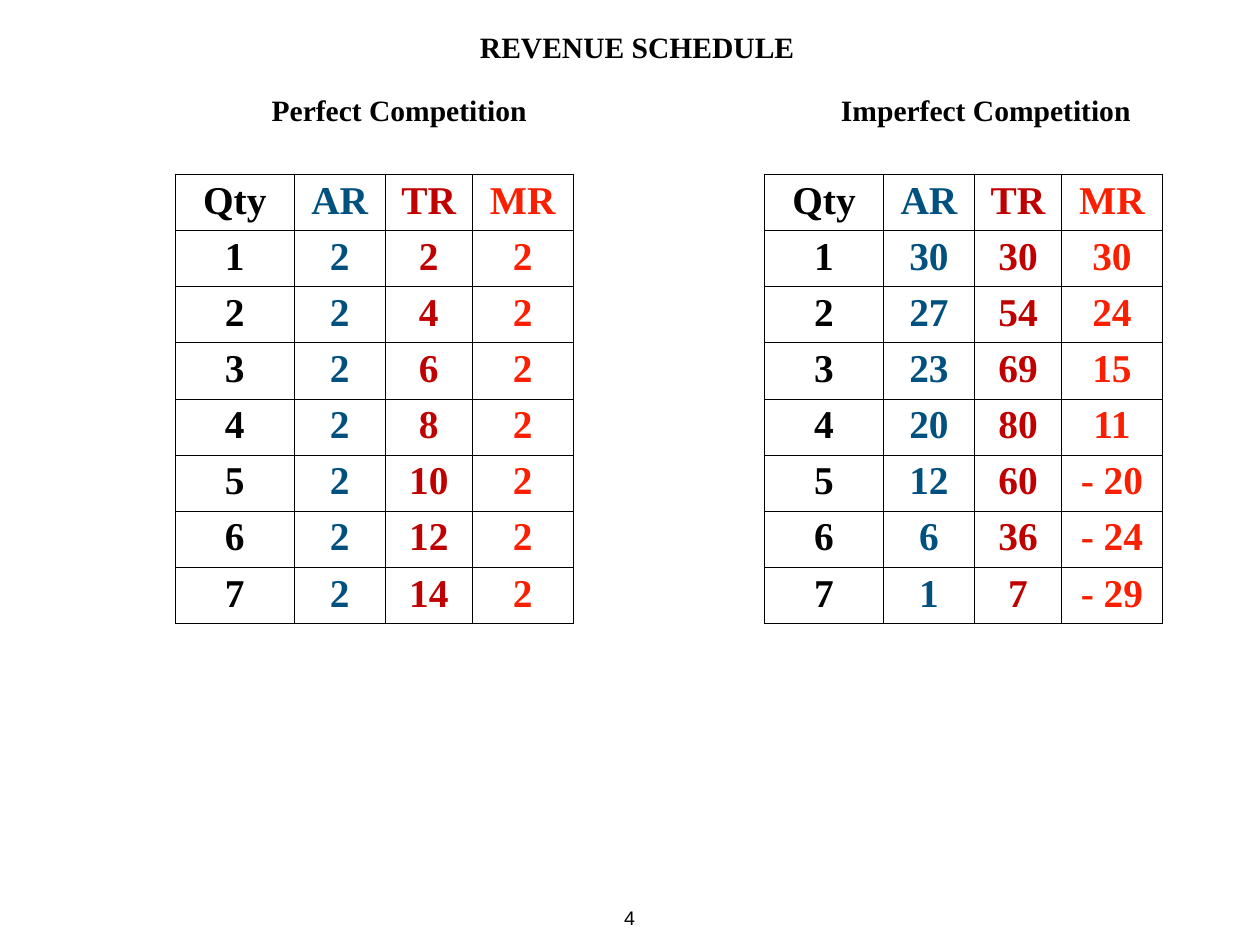
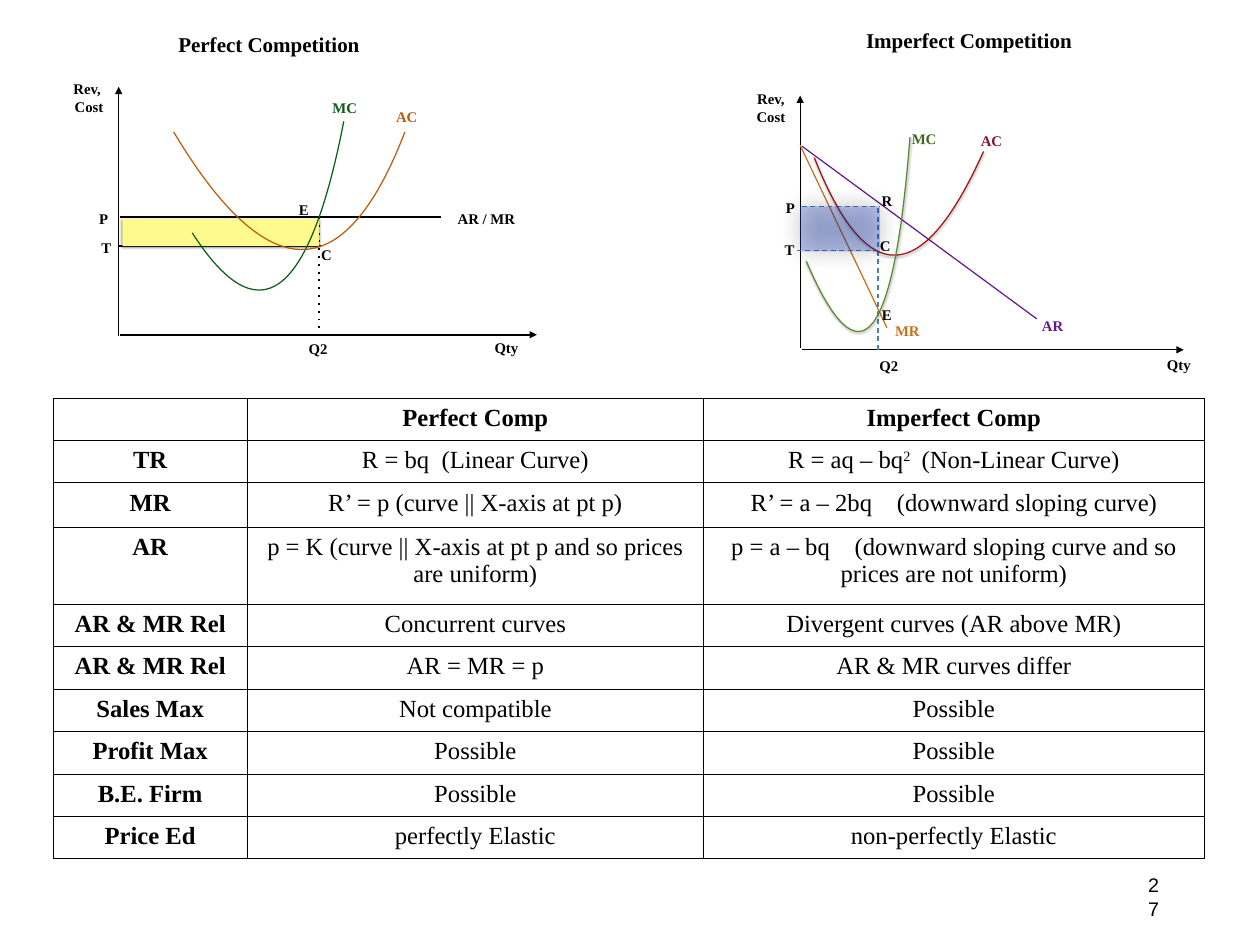
from pptx import Presentation
from pptx import util as u
from pptx.dml.color import RGBColor
from pptx.enum import shapes, text
from pptx.oxml.ns import qn
from lxml import etree

PX = 9144  # EMU per px, 100 px to the inch
SERIF, SANS = "Times New Roman", "Arial"
BLACK, AR_BLUE, TR_RED, MR_RED = "000000", "005180", "C00000", "FA1F00"
GREEN, ORANGE, YELLOW = "0B5D18", "BD5B0C", "FEFA8B"
OLIVE, CURVE_GREEN, MAROON, CURVE_RED = "406823", "578C2E", "84143F", "A2110D"
PURPLE, AMBER, GUIDE = "651A8C", "C7711B", "4A7EBB"
SOFT, GLOW = (38, 2, 1), (75, 19, 0)  # shadow: opacity %, blur pt, distance pt

# Slide 1 content
REVENUE_HEADS = ("Qty", "AR", "TR", "MR")
REVENUE_COLOURS = (BLACK, AR_BLUE, TR_RED, MR_RED)
REVENUE_COLS = (134, 103, 98, 114)
SCHEDULES = [
    ("Perfect Competition", 281, 198,
     [(q, 2, 2 * q, 2) for q in range(1, 8)]),
    ("Imperfect Competition", 943, 863,
     [(1, 30, 30, 30), (2, 27, 54, 24), (3, 23, 69, 15), (4, 20, 80, 11),
      (5, 12, 60, "- 20"), (6, 6, 36, "- 24"), (7, 1, 7, "- 29")]),
]

# Slide 2 content, each chart listed from back to front
# lines: from, to, colour, width, dash, arrow; areas: box, fill, opacity, shadow
# curves: four Bezier points, colour, shadow; labels: text, box, colour, rotation
PERFECT = {
    "inset": 0,
    "lines": [
        ((134, 379), (134, 98), BLACK, 1, None, True),
        ((135, 378), (606, 378), BLACK, 1.4, None, True),
        ((135, 245), (498, 245), BLACK, 1.4),
        ((360, 245), (360, 380), BLACK, 1.6, "dot"),
        ((133, 278), (362, 278), BLACK, 1.4),
    ],
    "areas": [((138, 247, 222, 31), YELLOW, 100, (50, 2, 1))],
    "curves": [
        (((388, 137), (349, 338), (292, 380), (217, 263)), GREEN),
        (((457, 149), (389, 326), (302, 326), (196, 149)), ORANGE),
    ],
    "labels": [
        ("Qty", (524, 382, 95, 22)), ("Rev, \nCost", (57, 90, 87, 41)),
        ("P", (94, 237, 46, 22)), ("AR / MR", (487, 237, 124, 22)),
        ("AC", (436, 122, 46, 19), ORANGE), ("MC", (366, 111, 46, 17), GREEN),
        ("Q2", (332, 384, 54, 22)), ("C", (352, 277, 33, 26)),
        ("E", (320, 227, 46, 22)), ("T", (97, 269, 46, 22)),
    ],
}
IMPERFECT = {
    "inset": 5,
    "lines": [
        ((903, 393), (903, 108), BLACK, 1, None, True),
        ((905, 395), (1336, 395), BLACK, 1, None, True),
        ((905, 165), (1170, 360), PURPLE, 1),
        ((991, 235), (991, 395), GUIDE, 1, "dash"),
        ((903, 164), (1001, 370), AMBER, 1),
        ((905, 233), (992, 233), GUIDE, 1, "dash"),
        ((899, 283), (995, 283), GUIDE, 1, "dash"),
    ],
    "curves": [
        (((1110, 171), (1041, 325), (978, 327), (919, 178)), CURVE_RED, SOFT),
        (((1027, 155), (1009, 389), (970, 436), (910, 295)), CURVE_GREEN, SOFT),
    ],
    "areas": [((903, 233, 90, 51), "1F43C9", 30, GLOW)],
    "labels": [
        ("Qty", (1299, 397, 63, 25)), ("Rev, Cost", (836, 97, 68, 43)),
        ("MC", (1003, 142, 80, 32), OLIVE, 0.7),
        ("MR", (1000, 358, 48, 25), AMBER), ("E", (988, 340, 26, 25)),
        ("Q2", (982, 398, 42, 25)), ("AC", (1090, 144, 58, 25), MAROON),
        ("AR", (1165, 353, 46, 25), PURPLE), ("C", (988, 262, 22, 17)),
        ("R", (973, 212, 56, 25)), ("P", (877, 219, 30, 25)),
        ("T", (873, 267, 36, 25)),
    ],
}


def gap(points):
    """A single space widened by letter spacing."""
    return " ", {"spc": str(points * 100)}


COMPARISON = [
    ("", "Perfect Comp", "Imperfect Comp"),
    ("TR", ["R = bq", gap(5), "(Linear Curve)"],
     ["R = aq – bq", ("2", {"baseline": "30000"}), gap(4), "(Non-Linear Curve)"]),
    ("MR", "R’ = p (curve || X-axis at pt p)",
     ["R’ = a – 2bq", gap(15), "(downward sloping curve)"]),
    ("AR", "p = K (curve || X-axis at pt p and so prices are uniform)",
     ["p = a – bq", gap(15),
      "(downward sloping curve and so prices are not uniform)"]),
    ("AR & MR Rel", "Concurrent curves", "Divergent curves (AR above MR)"),
    ("AR & MR Rel", "AR = MR = p", "AR & MR curves differ"),
    ("Sales Max", "Not compatible", "Possible"),
    ("Profit Max", "Possible", "Possible"),
    ("B.E. Firm", "Possible", "Possible"),
    ("Price Ed", "perfectly Elastic", "non-perfectly Elastic"),
]
COMPARISON_COLS = (219, 515, 565)
COMPARISON_ROWS = (47, 48, 50, 87, 48, 48, 48, 48, 47, 48)


# Helpers
def px(n):
    return u.Emu(round(n * PX))


def rgb(colour):
    return RGBColor.from_string(colour)


def sub(parent, tag, **attrs):
    return etree.SubElement(parent, qn(tag), attrs)


def style(p, size, colour, font=SERIF, bold=True):
    p.alignment = text.PP_ALIGN.CENTER
    f = p.font
    f.size, f.name, f.bold = u.Pt(size), font, bold
    f.color.rgb = rgb(colour)


def label(s, words, box, colour=BLACK, rotation=0, inset=0, size=12,
          font=SERIF, bold=True, wrap=True):
    sp = s.shapes.add_textbox(*map(px, box))
    sp.rotation = rotation
    tf = sp.text_frame
    tf.word_wrap = wrap
    tf.margin_left = tf.margin_right = px(inset)
    tf.margin_top = tf.margin_bottom = px(inset)
    tf.text = words
    for p in tf.paragraphs:
        style(p, size, colour, font, bold)
    return tf


def heading(s, words, box):
    tf = label(s, words, box, inset=6, size=24)
    tf.vertical_anchor = text.MSO_ANCHOR.MIDDLE


def page_number(s, number, box):
    label(s, number, box, inset=6, size=16, font=SANS, bold=False, wrap=False)


def add_shadow(shape, shadow):
    shape.shadow.inherit = False
    if shadow:
        opacity, blur, dist = shadow
        effects = shape._element.spPr.find(qn("a:effectLst"))
        outer = sub(effects, "a:outerShdw", blurRad=str(u.Pt(blur)),
                    dist=str(u.Pt(dist)), dir="5400000", rotWithShape="0")
        clr = sub(outer, "a:srgbClr", val=BLACK)
        sub(clr, "a:alpha", val=str(opacity * 1000))


def line(s, start, end, colour, width, dash=None, arrow=False):
    c = s.shapes.add_connector(shapes.MSO_CONNECTOR.STRAIGHT,
                               *map(px, start + end))
    c.line.color.rgb, c.line.width = rgb(colour), u.Pt(width)
    sp_pr = c._element.spPr
    ln = sp_pr.get_or_add_ln()
    if dash:
        sub(ln, "a:prstDash", val=dash)
    if arrow:
        sub(ln, "a:tailEnd", type="triangle")
    sub(sp_pr, "a:effectLst")


def area(s, box, colour, opacity, shadow):
    sp = s.shapes.add_shape(shapes.MSO_SHAPE.RECTANGLE, *map(px, box))
    sp.fill.solid()
    sp.fill.fore_color.rgb = rgb(colour)
    if opacity < 100:
        clr = sp._element.spPr.find(".//" + qn("a:srgbClr"))
        sub(clr, "a:alpha", val=str(opacity * 1000))
    sp.line.fill.background()
    add_shadow(sp, shadow)


def curve(s, controls, colour, shadow=None, steps=40):
    # Points along the curve give the shape its true extents
    points = []
    for i in range(steps + 1):
        t = i / steps
        weights = ((1 - t) ** 3, 3 * t * (1 - t) ** 2, 3 * t * t * (1 - t), t ** 3)
        points.append(tuple(px(sum(w * c[axis] for w, c in zip(weights, controls)))
                            for axis in (0, 1)))
    builder = s.shapes.build_freeform(*points[0])
    builder.add_line_segments(points[1:], close=False)
    sp = builder.convert_to_shape()
    # One Bezier segment takes the place of the short lines
    outline = sp._element.spPr.find(".//" + qn("a:path"))
    for segment in outline.findall(qn("a:lnTo")):
        outline.remove(segment)
    bezier = sub(outline, "a:cubicBezTo")
    for x, y in controls[1:]:
        sub(bezier, "a:pt", x=str(px(x) - sp.left), y=str(px(y) - sp.top))
    sp.fill.background()
    sp.line.color.rgb, sp.line.width = rgb(colour), u.Pt(1)
    add_shadow(sp, shadow)


def border(cell):
    tc_pr = cell._tc.get_or_add_tcPr()
    for i, side in enumerate("LRTB"):
        ln = etree.Element(qn("a:ln" + side), {"w": str(u.Pt(1))})
        sub(sub(ln, "a:solidFill"), "a:srgbClr", val=BLACK)
        tc_pr.insert(i, ln)


def table(s, rows, left, top, cols, height):
    """Add a plain ruled table and yield each cell with its place and content."""
    t = s.shapes.add_table(len(rows), len(cols), px(left), px(top),
                           px(sum(cols)), px(height)).table
    t.first_row = t.horz_banding = False
    for col, w in zip(t.columns, cols):
        col.width = px(w)
    for i, row in enumerate(rows):
        for j, value in enumerate(row):
            cell = t.cell(i, j)
            cell.fill.background()
            border(cell)
            yield t, i, j, cell, value


def revenue_slide(s):
    heading(s, "REVENUE SCHEDULE", (527, 27, 384, 52))
    for name, name_left, left, rows in SCHEDULES:
        heading(s, name, (name_left, 98, 339, 52))
        cells = table(s, [REVENUE_HEADS] + rows, left, 197, REVENUE_COLS, 507)
        for _, i, j, cell, value in cells:
            cell.text = str(value)
            style(cell.text_frame.paragraphs[0], 32, REVENUE_COLOURS[j])
    page_number(s, "4", (692, 1017, 37, 35))


def comparison_slide(s):
    draw = {"lines": line, "areas": area, "curves": curve}
    for chart in (PERFECT, IMPERFECT):
        for kind in chart:
            for item in chart[kind] if kind in draw else ():
                draw[kind](s, *item)
        for item in chart["labels"]:
            label(s, *item, inset=chart["inset"])
    label(s, "Perfect Competition", (175, 31, 257, 39), inset=5, size=17.1)
    label(s, "Imperfect Competition", (906, 24, 375, 43), inset=7, size=17.1)

    cells = table(s, COMPARISON, 60, 450, COMPARISON_COLS, sum(COMPARISON_ROWS))
    for t, i, j, cell, value in cells:
        t.rows[i].height = px(COMPARISON_ROWS[i])
        cell.margin_left = cell.margin_right = px(14)
        cell.margin_top = cell.margin_bottom = px(7)
        p = cell.text_frame.paragraphs[0]
        style(p, 20, BLACK, bold=i == 0 or j == 0)
        for part in [value] if isinstance(value, str) else value:
            words, attrs = (part, {}) if isinstance(part, str) else part
            if words:
                r = p.add_run()
                r.text = words
                for key, setting in attrs.items():
                    r._r.get_or_add_rPr().set(key, setting)
    page_number(s, "27", (1284, 980, 36, 38))


def main():
    prs = Presentation()
    prs.slide_width, prs.slide_height = px(1422), px(1067)
    for build in (revenue_slide, comparison_slide):
        build(prs.slides.add_slide(prs.slide_layouts[6]))
    prs.save("out.pptx")


if __name__ == "__main__":
    main()
